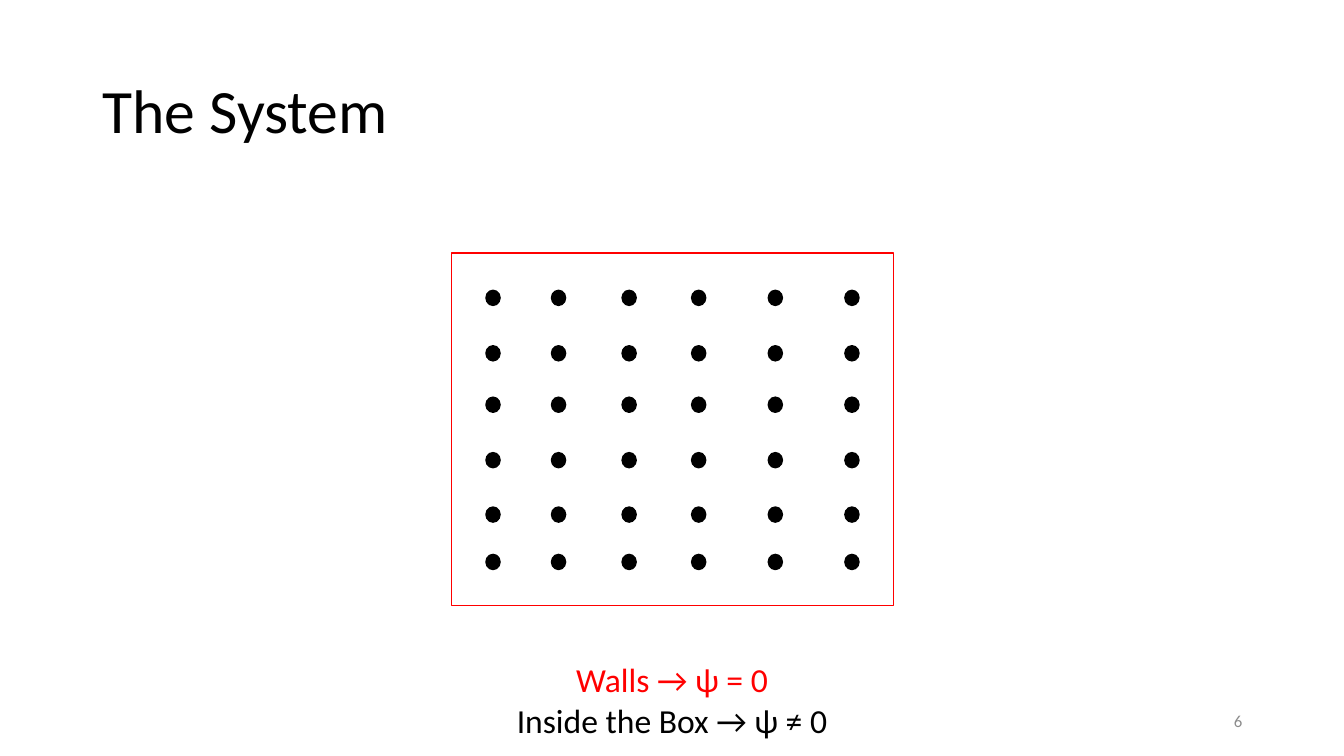
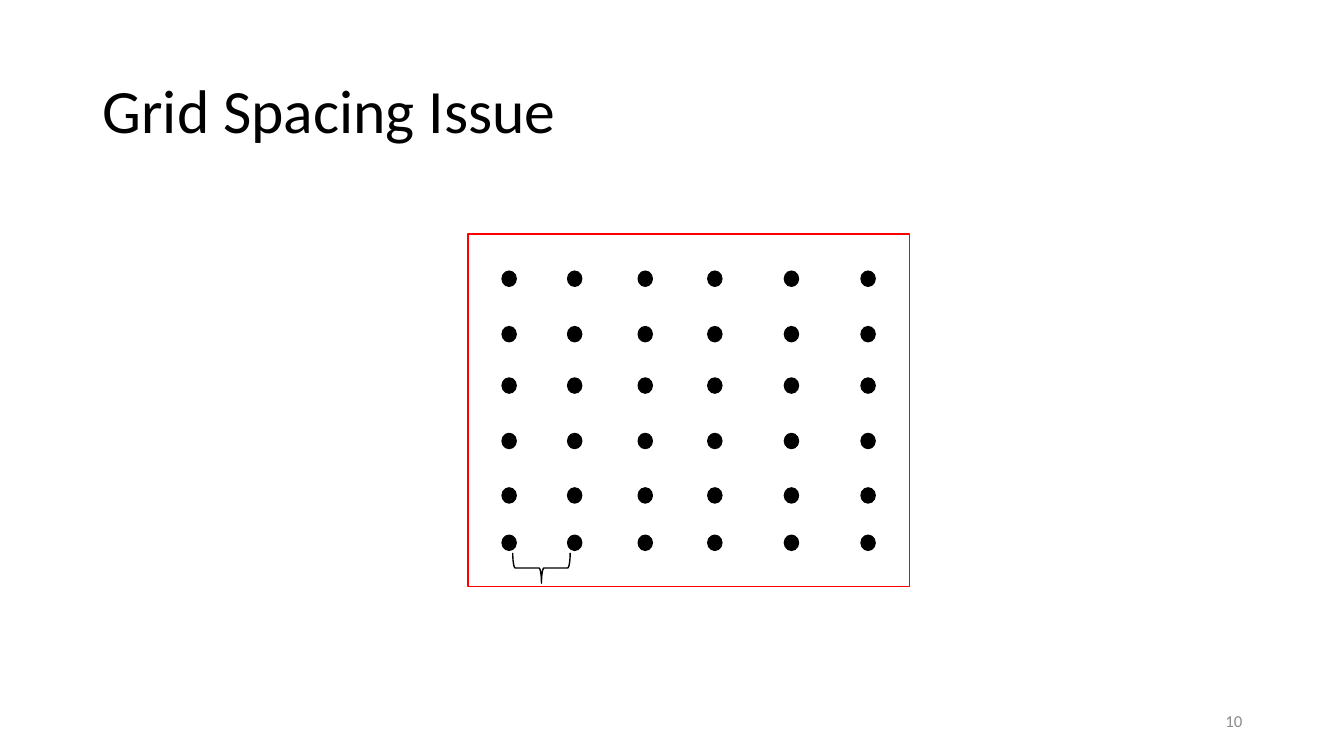
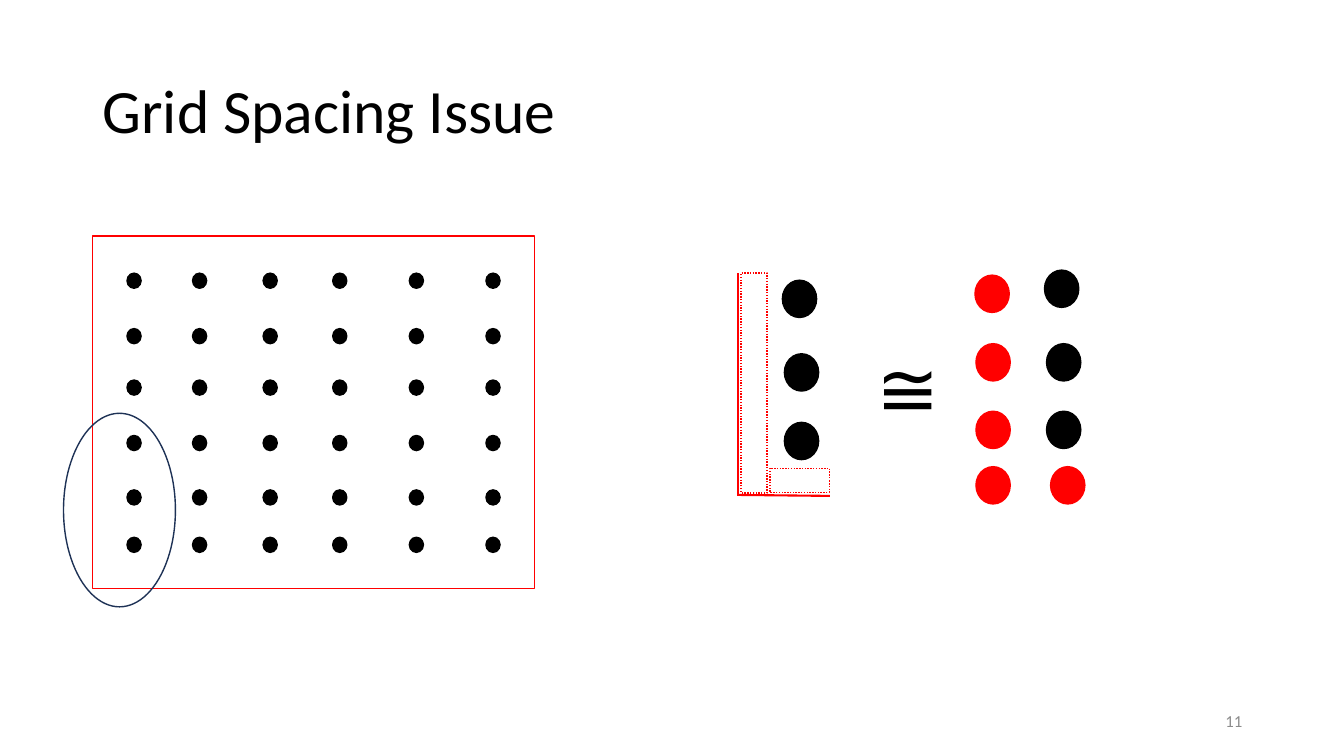
from dataclasses import dataclass

from lxml.etree import SubElement
from pptx import Presentation
from pptx.dml.color import RGBColor
from pptx.enum.dml import MSO_LINE_DASH_STYLE as Dash
from pptx.enum.shapes import MSO_CONNECTOR_TYPE as Connector
from pptx.enum.shapes import MSO_AUTO_SHAPE_TYPE as Preset
from pptx.enum.text import MSO_VERTICAL_ANCHOR as Anchor
from pptx.enum.text import PP_PARAGRAPH_ALIGNMENT as Align
from pptx.oxml.ns import qn
from pptx.util import Pt

PX = 9144  # 100 px to the inch


@dataclass(frozen=True)
class Theme:
    font: str = "Calibri"
    black: str = "000000"
    red: str = "FF0000"
    grey: str = "8C8C8C"
    navy: str = "1E3256"
    title_size: int = 44
    number_size: int = 12
    caption_size: int = 24
    symbol_size: int = 54
    thin: float = 1
    thick: float = 1.5


theme = Theme()


def add_text(slide, area, lines, size, align=Align.LEFT, anchor=Anchor.TOP,
             inset=(0, 0), spacing=1.0):
    """Add a text box; each line is a (text, colour) pair."""
    frame = slide.shapes.add_textbox(*[n * PX for n in area]).text_frame
    frame.word_wrap = True
    frame.vertical_anchor = anchor
    frame.margin_left = frame.margin_right = inset[0] * PX
    frame.margin_top = frame.margin_bottom = inset[1] * PX
    for index, (text, colour) in enumerate(lines):
        paragraph = frame.add_paragraph() if index else frame.paragraphs[0]
        paragraph.alignment = align
        paragraph.line_spacing = spacing
        run = paragraph.add_run()
        run.text = text
        run.font.name = theme.font
        run.font.size = Pt(size)
        run.font.color.rgb = RGBColor.from_string(colour)


def add_figure(slide, preset, area, line, fill=None, dash=None, rotation=0):
    """Add a preset shape with a thin outline."""
    shape = slide.shapes.add_shape(preset, *[n * PX for n in area])
    shape.shadow.inherit = False
    shape.rotation = rotation
    shape.line.color.rgb = RGBColor.from_string(line)
    shape.line.width = Pt(theme.thin)
    if dash:
        shape.line.dash_style = dash
    if fill:
        shape.fill.solid()
        shape.fill.fore_color.rgb = RGBColor.from_string(fill)
    else:
        shape.fill.background()


presentation = Presentation()
presentation.slide_width = 1333 * PX
presentation.slide_height = 750 * PX
blank = presentation.slide_layouts[6]

# Shared parts: title, slide number, red box with its grid of points
BOX_SIZE = (438, 350)
POINT_SIZE = (14, 15)
POINT_COLUMNS = (34, 99, 169, 238, 314, 390)
POINT_ROWS = (37, 92, 143, 198, 252, 299)

slides = []
for title, number, left, top in (
    ("The System", "6", 448, 251),
    ("Grid Spacing Issue", "10", 464, 232),
    ("Grid Spacing Issue", "11", 92, 234),
):
    slide = presentation.slides.add_slide(blank)
    slides.append(slide)
    add_text(slide, (92, 40, 1150, 145), [(title, theme.black)], theme.title_size,
             anchor=Anchor.MIDDLE, inset=(10, 5), spacing=0.9)
    add_text(slide, (942, 695, 300, 40), [(number, theme.grey)], theme.number_size,
             align=Align.RIGHT, anchor=Anchor.MIDDLE, inset=(10, 5))
    add_figure(slide, Preset.RECTANGLE, (left, top, *BOX_SIZE), theme.red)
    for row in POINT_ROWS:
        for column in POINT_COLUMNS:
            add_figure(slide, Preset.OVAL, (left + column, top + row, *POINT_SIZE),
                       theme.black, fill=theme.black)

system_slide, spacing_slide, boundary_slide = slides

# The system: boundary conditions
add_text(system_slide, (453, 654, 427, 81),
         [("Walls → ψ = 0", theme.red), ("Inside the Box → ψ ≠ 0", theme.black)],
         theme.caption_size, align=Align.CENTER)

# Grid spacing: brace between two neighbouring points
add_figure(spacing_slide, Preset.RIGHT_BRACE, (522, 535, 30, 57), theme.black, rotation=90)

# Boundary: circled corner of the box
add_figure(boundary_slide, Preset.OVAL, (63, 410, 111, 192), theme.navy)

# Boundary: enlarged corner with its walls and dotted gaps
for area, rotation in (((735, 271, 26, 218), 0), ((781, 447, 24, 59), 270)):
    add_figure(boundary_slide, Preset.RECTANGLE, area, theme.red,
               dash=Dash.ROUND_DOT, rotation=rotation)
for ends in ((732, 271, 732, 492), (732, 491, 823, 492)):
    wall = boundary_slide.shapes.add_connector(Connector.STRAIGHT, *[n * PX for n in ends])
    wall.line.color.rgb = RGBColor.from_string(theme.red)
    wall.line.width = Pt(theme.thick)
    SubElement(wall.element.spPr, qn("a:effectLst"))

# Boundary: large points, inside ones black and wall ones red
LARGE_POINT_SIZE = (34, 37)
large_points = {
    theme.black: ((776, 278), (778, 351), (778, 419),
                  (1036, 268), (1038, 341), (1038, 408)),
    theme.red: ((967, 273), (968, 341), (968, 408), (968, 463), (1042, 463)),
}
for colour, corners in large_points.items():
    for corner in corners:
        add_figure(boundary_slide, Preset.OVAL, (*corner, *LARGE_POINT_SIZE),
                   colour, fill=colour)

add_text(boundary_slide, (869, 338, 41, 91), [("≅", theme.black)], theme.symbol_size)

presentation.save("out.pptx")
